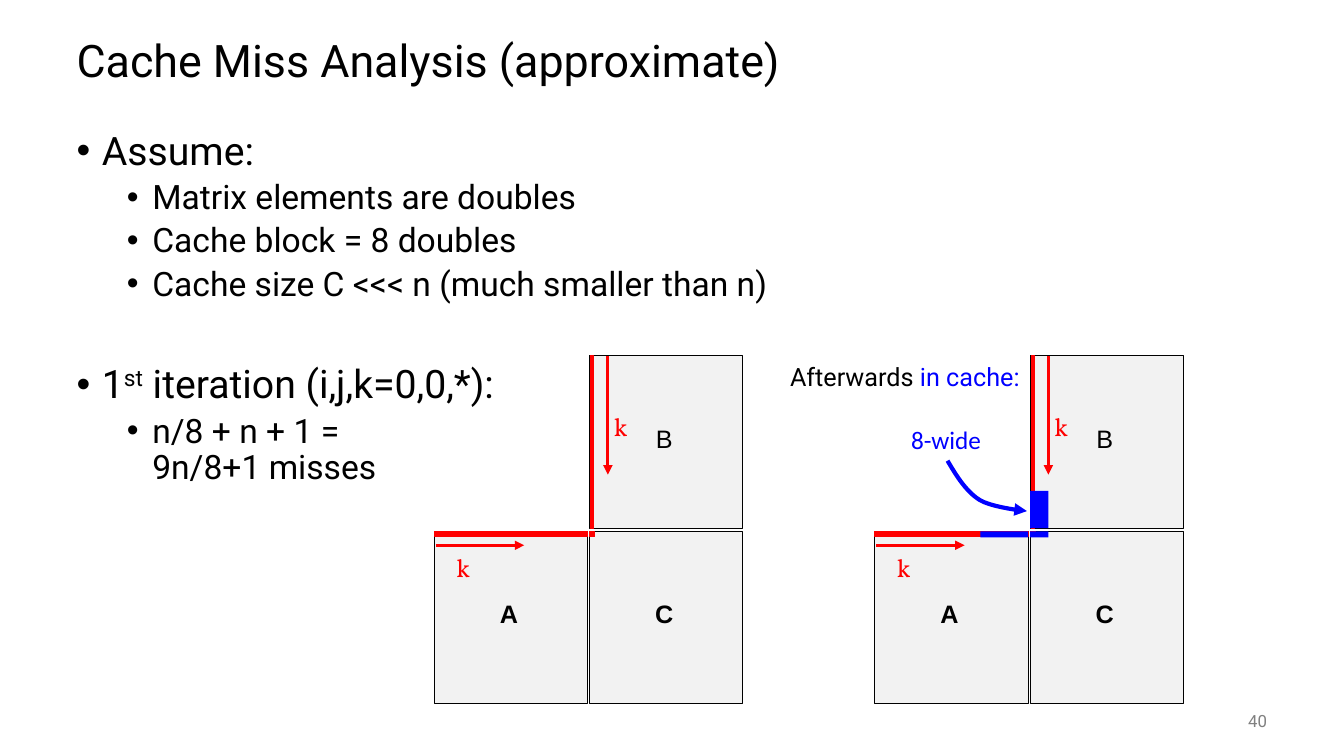
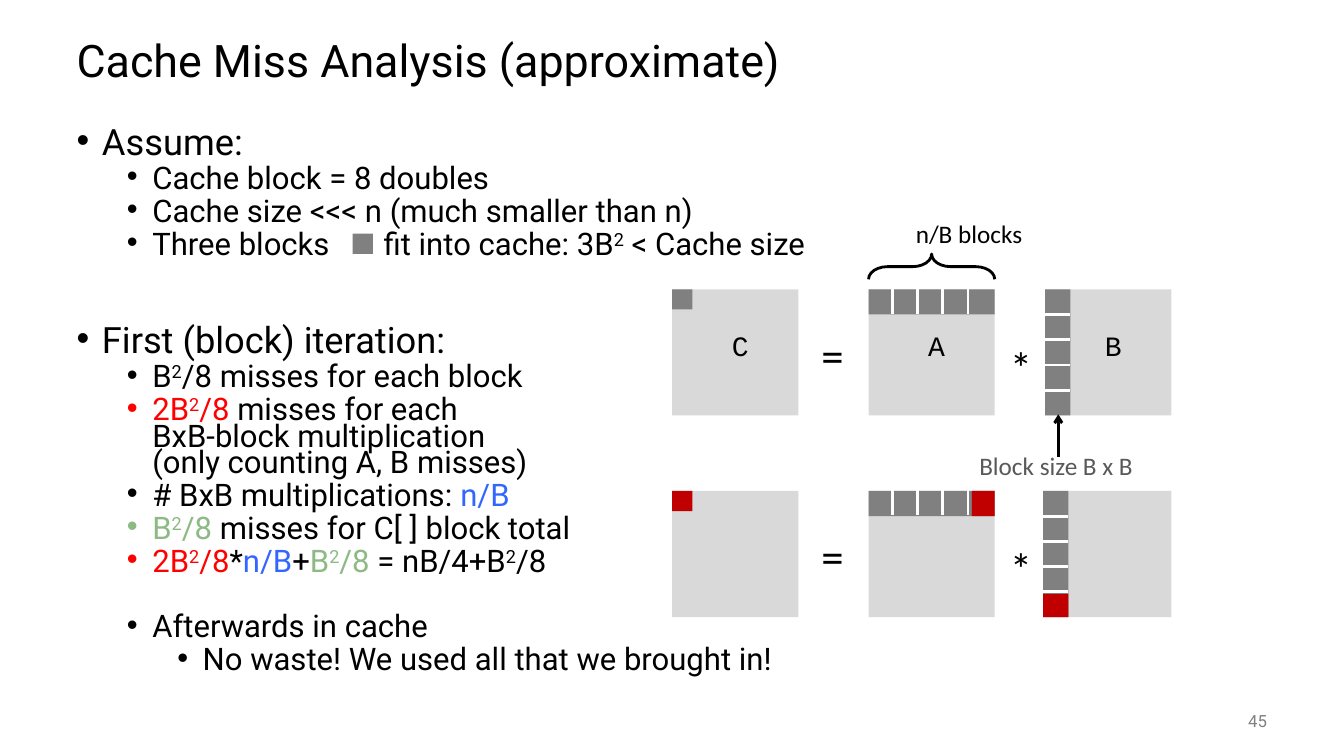
"""Build two slides on cache misses in plain and blocked matrix multiplication."""
import pptx
import pptx.dml.color
import pptx.enum.shapes
import pptx.enum.text
import pptx.oxml
import pptx.oxml.ns
import pptx.util

Cm = pptx.util.Cm
RGB = pptx.dml.color.RGBColor
SHAPE = pptx.enum.shapes.MSO_SHAPE
ALIGN = pptx.enum.text.PP_ALIGN
ANCHOR = pptx.enum.text.MSO_ANCHOR

BLACK = RGB(0x00, 0x00, 0x00)
WHITE = RGB(0xFF, 0xFF, 0xFF)
RED = RGB(0xFF, 0x00, 0x00)
DARK_RED = RGB(0xC0, 0x00, 0x00)
BLUE = RGB(0x00, 0x00, 0xFF)
SKY = RGB(0x33, 0x66, 0xFF)
GREEN = RGB(0x8D, 0xBA, 0x84)
GRAY = RGB(0x80, 0x80, 0x80)
SLATE = RGB(0x59, 0x59, 0x59)
SILVER = RGB(0xD9, 0xD9, 0xD9)
PALE = RGB(0xF2, 0xF2, 0xF2)

TITLE = "Cache Miss Analysis (approximate)"
TITLE_BOX = (1.68, 0.64, 30.48, 1.91)
BODY_BOX = (1.68, 3.18, 30.48, 13.97)
NUMBER_BOX = (29.64, 17.65, 2.54, 1.02)
SPACE_BEFORE = (14, 5, 5)
WIDE_GAP = "\t"

PLAIN = {
    "number": "40",
    "sizes": (28, 24, 24),
    "line_spacing": 0.9,
    "bullets": [
        (0, "Assume:"),
        (1, "Matrix elements are doubles"),
        (1, "Cache block = 8 doubles"),
        (1, "Cache size C <<< n (much smaller than n)"),
        (0, "1^st^ iteration (i,j,k=0,0,*):", 44),
        (1, "n/8 + n + 1 = \n9n/8+1 misses"),
    ],
}
BLOCKED = {
    "number": "45",
    "sizes": (25.9, 22.2, 22.2),
    "line_spacing": 0.7,
    "bullets": [
        (0, "Assume:"),
        (1, "Cache block = 8 doubles"),
        (1, "Cache size <<< n (much smaller than n)"),
        (1, ["Three blocks", WIDE_GAP, "fit into cache: 3B^2^ < Cache size"]),
        (0, "First (block) iteration:", 49),
        (1, "B^2^/8 misses for each block"),
        (1, [("2B^2^/8", RED),
             " misses for each \nBxB-block multiplication\n(only counting A, B misses)"]),
        (1, ["# BxB multiplications: ", ("n/B", SKY)]),
        (1, [("B^2^/8", GREEN), " misses for C[ ] block total"]),
        (1, [("2B^2^/8", RED), "*", ("n/B", SKY), "+", ("B^2^/8", GREEN),
             " = nB/4+B^2^/8"]),
        (1, "Afterwards in cache", 28),
        (2, "No waste! We used all that we brought in!"),
    ],
}

DIAGRAM_LEFTS = (10.95, 22.05)
TILE_W, TILE_H = 3.86, 4.34
COLUMN, ROW_B, ROW_AC = 3.91, 8.97, 13.39
TILES = [("A", 0, ROW_AC, True), ("B", COLUMN, ROW_B, False), ("C", COLUMN, ROW_AC, True)]
TOUCHED = [(3.94, ROW_B, 0.08, TILE_H), (0, 13.4, TILE_W, 0.11), (COLUMN, 13.4, 0.13, 0.13)]
SWEEPS = [((0.03, 13.74), (2.26, 13.74), (0.3, 13.79)),
          ((4.37, ROW_B), (4.37, 11.96), (4.27, 10.24))]
CACHED = [(25.96, 12.37, 0.46, 0.94), (24.71, ROW_AC, 1.2, 0.15), (25.96, ROW_AC, 0.46, 0.15)]
POINTER = [((23.88, 11.61), (24.1, 11.99), (24.36, 12.4), (24.69, 12.6)),
           ((24.69, 12.6), (25.02, 12.8), (25.88, 12.88), (25.88, 12.88))]

MATRIX, BLOCKS = 3.18, 5
CELL = MATRIX / BLOCKS
SMALL_BLOCK = 0.51
C_LEFT, A_LEFT, B_LEFT = 16.94, 21.89, 26.34
PRODUCTS = [(7.29, {"C": C_LEFT, "A": A_LEFT, "B": B_LEFT}, 0, False),
            (12.37, {"": C_LEFT}, -0.05, True)]
OPERATORS = [("=", 20.45, 0.84), ("*", 25.2, 1.14)]


def place(box):
    return [Cm(length) for length in box]


def add_run(paragraph, text, size, color=BLACK, face="Roboto", bold=False):
    run = paragraph.add_run()
    run.text = text
    formats = {"size": pptx.util.Pt(size), "name": face, "bold": bold}
    for key, value in formats.items():
        setattr(run.font, key, value)
    run.font.color.rgb = color
    return run


def add_rich(paragraph, text, size, color=BLACK):
    for part_index, part in enumerate(text.split("^")):
        for line_index, line in enumerate(part.split("\n")):
            if line_index:
                paragraph.add_line_break()
            if line:
                run = add_run(paragraph, line, size, color)
                if part_index % 2:
                    run.font._element.set("baseline", "30000")


def add_label(slide, box, pieces, size=18, face="Calibri", align=ALIGN.LEFT, anchor=ANCHOR.TOP):
    frame = slide.shapes.add_textbox(*place(box)).text_frame
    frame.word_wrap = True
    frame.vertical_anchor = anchor
    paragraph = frame.paragraphs[0]
    paragraph.alignment = align
    for text, color in pieces:
        add_run(paragraph, text, size, color, face)
    return paragraph


def add_block(slide, box, fill, line=None, kind=SHAPE.RECTANGLE):
    block = slide.shapes.add_shape(kind, *place(box))
    block.shadow.inherit = False
    if fill is None:
        block.fill.background()
    else:
        block.fill.solid()
        block.fill.fore_color.rgb = fill
    if line is None:
        block.line.fill.background()
    else:
        block.line.color.rgb = line
        block.line.width = pptx.util.Pt(0.75)
    return block


def letter(block, text, size, face, bold, insets):
    frame = block.text_frame
    frame.vertical_anchor = ANCHOR.MIDDLE
    for side, inset in insets.items():
        setattr(frame, "margin_" + side, Cm(inset))
    frame.paragraphs[0].alignment = ALIGN.CENTER
    add_run(frame.paragraphs[0], text, size, BLACK, face, bold)


def add_arrowhead(line, head):
    line.line._get_or_add_ln().append(pptx.oxml.parse_xml(
        f'<a:tailEnd {pptx.oxml.ns.nsdecls("a")} type="{head}"/>'))


def add_line(slide, start, end, color, width, head=None):
    line = slide.shapes.add_connector(
        pptx.enum.shapes.MSO_CONNECTOR.STRAIGHT, *place(start + end))
    line.line.color.rgb = color
    line.line.width = pptx.util.Pt(width)
    line._element.spPr.append(pptx.oxml.parse_xml(
        f'<a:effectLst {pptx.oxml.ns.nsdecls("a")}/>'))
    if head:
        add_arrowhead(line, head)


def add_bullets(slide, content):
    frame = slide.shapes.add_textbox(*place(BODY_BOX)).text_frame
    frame.word_wrap = True
    for index, (level, text, *gap) in enumerate(content["bullets"]):
        paragraph = frame.add_paragraph() if index else frame.paragraphs[0]
        properties = paragraph._p.get_or_add_pPr()
        properties.set("marL", str(Cm(0.64 + 1.27 * level)))
        properties.set("indent", str(-Cm(0.64)))
        for tag in ('buFont typeface="Arial"', 'buChar char="•"'):
            properties.append(pptx.oxml.parse_xml(f'<a:{tag} {pptx.oxml.ns.nsdecls("a")}/>'))
        paragraph.level = level
        paragraph.line_spacing = content["line_spacing"]
        if index:
            paragraph.space_before = pptx.util.Pt(gap[0] if gap else SPACE_BEFORE[level])
        size = content["sizes"][level]
        for piece in [text] if isinstance(text, str) else text:
            if piece == WIDE_GAP:
                add_run(paragraph, " ", size).font._element.set("spc", "3300")
            elif isinstance(piece, str):
                add_rich(paragraph, piece, size)
            else:
                add_rich(paragraph, piece[0], size, piece[1])


def start_slide(deck, content):
    slide = deck.slides.add_slide(deck.slide_layouts[6])
    title = add_label(slide, TITLE_BOX, [(TITLE, BLACK)], 32, "Roboto", anchor=ANCHOR.MIDDLE)
    title.line_spacing = 0.9
    add_bullets(slide, content)
    add_label(slide, NUMBER_BOX, [(content["number"], GRAY)], 12, "Roboto",
              ALIGN.RIGHT, ANCHOR.MIDDLE)
    return slide


def add_pointer(slide, curves, steps=10):
    points = [curves[0][0]]
    for curve in curves:
        for step in range(1, steps + 1):
            t = step / steps
            weights = ((1 - t) ** 3, 3 * t * (1 - t) ** 2, 3 * t * t * (1 - t), t ** 3)
            points.append([sum(w * point[axis] for w, point in zip(weights, curve))
                           for axis in (0, 1)])
    points = [place(point) for point in points]
    builder = slide.shapes.build_freeform(*points[0])
    builder.add_line_segments(points[1:], close=False)
    pointer = builder.convert_to_shape()
    pointer.shadow.inherit = False
    pointer.fill.background()
    pointer.line.color.rgb = BLUE
    pointer.line.width = pptx.util.Pt(3)
    add_arrowhead(pointer, "triangle")


def add_diagram(slide, left):
    for name, x, y, bold in TILES:
        tile = add_block(slide, (left + x, y, TILE_W, TILE_H), PALE, BLACK)
        letter(tile, name, 18, "Arial", bold, {"right": 0.35, "bottom": 0.33})
    for x, y, width, height in TOUCHED:
        add_block(slide, (left + x, y, width, height), RED, RED)
    for start, end, (x, y) in SWEEPS:
        add_line(slide, (left + start[0], start[1]), (left + end[0], end[1]),
                 RED, 2.25, "triangle")
        add_label(slide, (left + x, y, 0.91, 1.04), [("k", RED)], face="Vollkorn")


def add_product(slide, top, names, shift, cached):
    for left in (C_LEFT, A_LEFT, B_LEFT):
        matrix = add_block(slide, (left, top, MATRIX, MATRIX), SILVER)
        for name, named_left in names.items():
            if name and named_left == left:
                letter(matrix, name, 20, "Courier New", False, {"left": 0.5, "bottom": 0.48})
    for text, x, drop in OPERATORS:
        add_label(slide, (x, top + drop, 1.1, 1.63), [(text, BLACK)], 32)
    b_left = B_LEFT + shift
    add_block(slide, (C_LEFT, top, SMALL_BLOCK, SMALL_BLOCK), DARK_RED if cached else GRAY)
    add_block(slide, (A_LEFT, top, MATRIX, CELL), GRAY)
    add_block(slide, (b_left, top, CELL, MATRIX), GRAY)
    if cached:
        last, depth = MATRIX - 0.58, 0.58
        add_block(slide, (A_LEFT + last, top, depth, CELL), DARK_RED)
        add_block(slide, (b_left, top + last, CELL, depth), DARK_RED)
    for index in range(1, BLOCKS):
        x, y = A_LEFT + index * CELL - 0.04, top + index * CELL
        add_line(slide, (x, top - 0.02), (x, top + CELL - 0.02), WHITE, 2)
        add_line(slide, (b_left, y), (b_left + CELL, y), WHITE, 2)


def main():
    deck = pptx.Presentation()
    deck.slide_width, deck.slide_height = Cm(33.87), Cm(19.05)

    plain = start_slide(deck, PLAIN)
    for left in DIAGRAM_LEFTS:
        add_diagram(plain, left)
    for box in CACHED:
        add_block(plain, box, BLUE)
    add_label(plain, (19.66, 8.99, 6.6, 1.02),
              [("Afterwards ", BLACK), ("in cache:", BLUE)], face="Roboto")
    add_label(plain, (22.71, 10.57, 2.6, 1.02), [("8-wide", BLUE)])
    add_pointer(plain, POINTER)

    blocked = start_slide(deck, BLOCKED)
    add_block(blocked, (8.89, 5.89, SMALL_BLOCK, SMALL_BLOCK), GRAY)
    for product in PRODUCTS:
        add_product(blocked, *product)
    brace = add_block(blocked, (23.16, 5.13, CELL, MATRIX), None, BLACK, SHAPE.LEFT_BRACE)
    brace.rotation = 90
    brace.adjustments[0] = 0.75
    brace.line.width = pptx.util.Pt(2)
    add_label(blocked, (22.83, 5.38, 3.5, 1.02), [("n/B blocks", BLACK)])
    add_label(blocked, (24.43, 11.23, 4.7, 1.02), [("Block size B x B", SLATE)])
    add_line(blocked, (26.67, 11.51), (26.67, 10.44), BLACK, 2, "arrow")
    deck.save("out.pptx")


if __name__ == "__main__":
    main()
